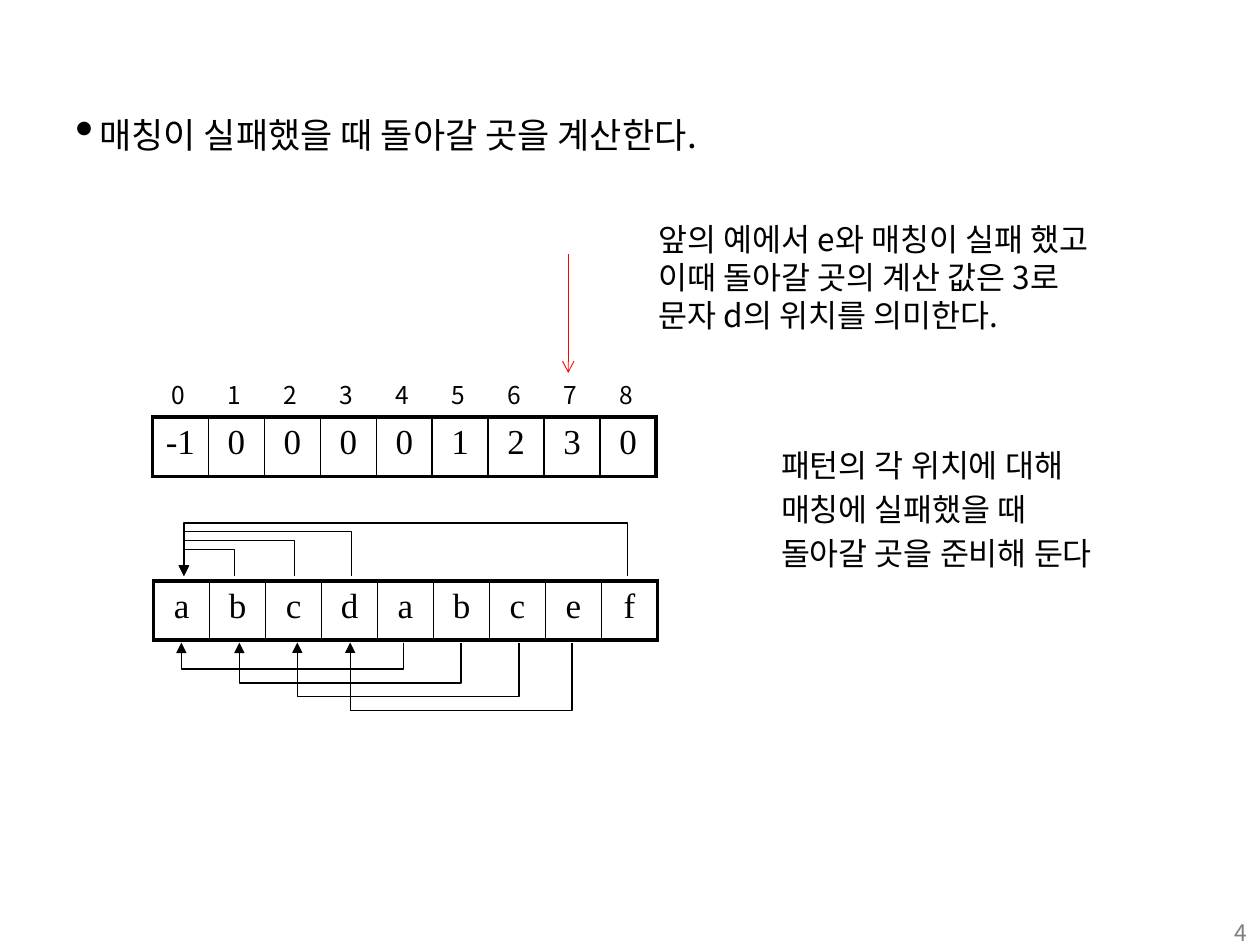
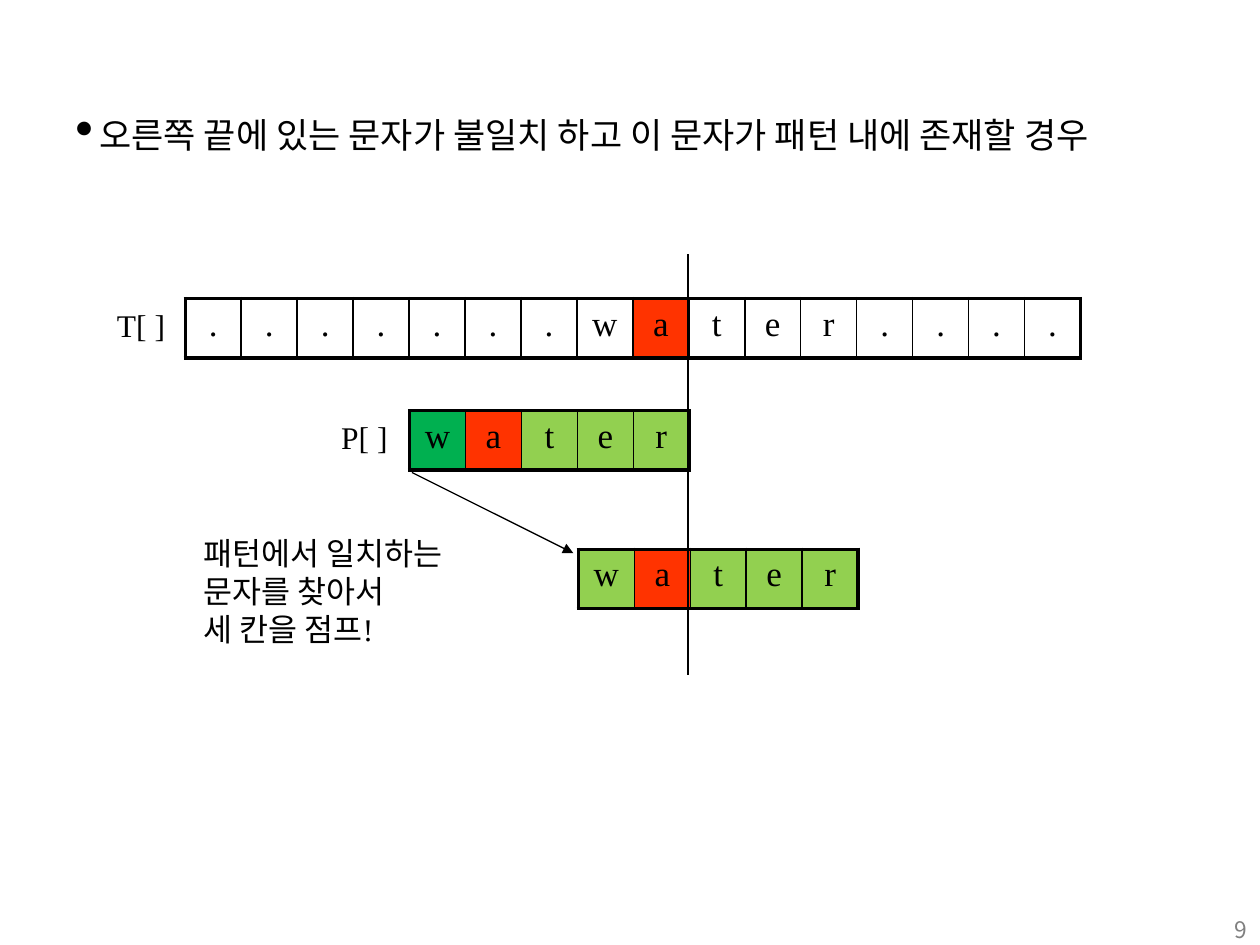
from lxml import etree
from pptx import Presentation
from pptx import util as u
from pptx.dml.color import RGBColor
from pptx.enum import shapes, text
from pptx.oxml.ns import qn

BLACK, GREY, RED = "000000", "808080", "FF0000"
MISMATCH, MATCH, START = "FF3300", "92D050", "00B050"
SANS, SERIF, BOOK = "Noto Sans CJK KR", "Times New Roman", "Cambria"
THIN, THICK = 1, 2.25


def rgb(color):
    return RGBColor.from_string(color)


def write(frame, content, size=18, font=SANS, color=BLACK,
          align=text.PP_ALIGN.LEFT, space=0, hanging=0):
    """Fill a text frame, one paragraph per line of content."""
    for number, line in enumerate(content.split("\n")):
        paragraph = frame.add_paragraph() if number else frame.paragraphs[0]
        paragraph.alignment = align
        paragraph.space_before = u.Pt(space)
        if hanging:
            properties = paragraph._p.get_or_add_pPr()
            properties.set("marL", str(u.Inches(hanging)))
            properties.set("indent", str(-u.Inches(hanging)))
        run = paragraph.add_run()
        run.text = line
        run.font.size = u.Pt(size)
        run.font.name = font
        run.font.color.rgb = rgb(color)
        east_asian = etree.SubElement(run._r.get_or_add_rPr(), qn("a:ea"))
        east_asian.set("typeface", SANS)


class Deck:
    """The presentation, its shared style and the slide being drawn."""

    def __init__(self):
        self.presentation = Presentation()
        self.presentation.slide_width = u.Inches(10)
        self.presentation.slide_height = u.Inches(7.5)
        self.slide = None

    def new_slide(self, heading, number, number_top):
        layout = self.presentation.slide_layouts[6]
        self.slide = self.presentation.slides.add_slide(layout)
        self.heading(heading)
        page = self.label(number, 7.67, number_top, 2.33, 0.4, wrap=True,
                          grow=False, size=13, color=GREY,
                          align=text.PP_ALIGN.RIGHT)
        page.vertical_anchor = text.MSO_ANCHOR.MIDDLE

    def heading(self, content):
        frame = self.label(content, 0.5, 0.7, 9, 6.09, wrap=True, grow=False,
                           size=20, space=7.5, hanging=0.19)
        paragraph = frame.paragraphs[0]
        paragraph.line_spacing = u.Pt(35)
        properties = paragraph._p.get_or_add_pPr()
        etree.SubElement(properties, qn("a:buSzPct")).set("val", "150000")
        etree.SubElement(properties, qn("a:buChar")).set("char", "•")

    def label(self, content, left, top, width, height, wrap=False, grow=True,
              **style):
        box = self.slide.shapes.add_textbox(
            u.Inches(left), u.Inches(top), u.Inches(width), u.Inches(height))
        frame = box.text_frame
        frame.word_wrap = wrap
        frame.auto_size = (text.MSO_AUTO_SIZE.SHAPE_TO_FIT_TEXT if grow
                           else text.MSO_AUTO_SIZE.NONE)
        write(frame, content, **style)
        return frame

    def array(self, values, left, top, fills=()):
        """Draw a one-row table; fills maps a cell's position to its colour."""
        fills = dict(fills)
        last = len(values) - 1
        cell_width = u.Inches(4) // 9
        table = self.slide.shapes.add_table(
            1, len(values), u.Inches(left), u.Inches(top),
            cell_width * len(values), u.Inches(0.47)).table
        table.first_row = table.horz_banding = False
        for index, value in enumerate(values):
            table.columns[index].width = cell_width
            cell = table.cell(0, index)
            write(cell.text_frame, value, size=20, font=SERIF, space=4,
                  align=text.PP_ALIGN.CENTER)
            if index in fills:
                cell.fill.solid()
                cell.fill.fore_color.rgb = rgb(fills[index])
            else:
                cell.fill.background()
            self.borders(cell, THIN if index else THICK,
                         THICK if index == last else THIN)

    def borders(self, cell, left, right):
        properties = cell._tc.get_or_add_tcPr()
        sides = (("L", left), ("R", right), ("T", THICK), ("B", THICK))
        for place, (side, width) in enumerate(sides):
            border = etree.Element(qn(f"a:ln{side}"), w=str(u.Pt(width)))
            fill = etree.SubElement(border, qn("a:solidFill"))
            etree.SubElement(fill, qn("a:srgbClr")).set("val", BLACK)
            properties.insert(place, border)

    def stroke(self, shape, color, width, head):
        shape.line.color.rgb = rgb(color)
        shape.line.width = u.Pt(width)
        if head:
            line = shape.line._get_or_add_ln()
            etree.SubElement(line, qn("a:tailEnd")).set("type", head)

    def line(self, start, end, color=BLACK, width=0.75, head=None):
        connector = self.slide.shapes.add_connector(
            shapes.MSO_CONNECTOR.STRAIGHT,
            *(u.Inches(value) for value in (*start, *end)))
        self.stroke(connector, color, width, head)
        etree.SubElement(connector._element.spPr, qn("a:effectLst"))

    def jump(self, start, target, base, turn):
        """Draw a squared arrow that leaves base, runs along turn and returns."""
        corners = [(u.Inches(x), u.Inches(y)) for x, y in
                   ((start, base), (start, turn), (target, turn), (target, base))]
        builder = self.slide.shapes.build_freeform(*corners[0])
        builder.add_line_segments(corners[1:], close=False)
        arrow = builder.convert_to_shape()
        arrow.fill.background()
        arrow.shadow.inherit = False
        self.stroke(arrow, BLACK, 0.75, "triangle")


def failure_table(deck):
    deck.new_slide("매칭이 실패했을 때 돌아갈 곳을 계산한다.", "4", 7.2)
    deck.array(["-1", *"00001230"], 1.21, 3.31)
    for index in range(9):
        deck.label(str(index), 1.26 + index * 4 / 9, 2.97, 0.31, 0.33, size=14)
    deck.array("abcdabcef", 1.22, 4.61)
    for level, target in enumerate((1.44, 1.9, 2.36, 2.78)):
        deck.jump(target + 1.76, target, 5.1, 5.31 + 0.11 * level)
    for level, start in enumerate((1.86, 2.34, 2.79, 4.98)):
        deck.jump(start, 1.46, 4.57, 4.36 - 0.07 * level)
    deck.label("패턴의 각 위치에 대해\n매칭에 실패했을 때\n돌아갈 곳을 준비해 둔다",
               6.1, 3.49, 2.92, 1.13, font=BOOK, space=3.6, hanging=0.38)
    deck.line((4.51, 2.02), (4.51, 2.96), color=RED, width=0.5, head="arrow")
    deck.label("앞의 예에서 e와 매칭이 실패 했고 이때 돌아갈 곳의 계산 값은 3로 "
               "문자 d의 위치를 의미한다.", 5.13, 1.7, 3.85, 1.01, wrap=True)


def pattern_shift(deck):
    deck.new_slide("오른쪽 끝에 있는 문자가 불일치 하고 이 문자가 패턴 내에 존재할 경우",
                   "9", 7.18)
    deck.array(".......water....", 1.47, 2.37, {8: MISMATCH})
    pattern_colors = (MATCH, MISMATCH, MATCH, MATCH, MATCH)
    deck.array("water", 3.25, 3.26, enumerate((START, *pattern_colors[1:])))
    deck.array("water", 4.59, 4.36, enumerate(pattern_colors))
    deck.line((3.27, 3.75), (4.55, 4.39), head="triangle")
    deck.label("패턴에서 일치하는\n문자를 찾아서\n세 칸을 점프!",
               1.52, 4.19, 2.43, 1.01, font=SERIF)
    deck.line((5.46, 2.02), (5.46, 5.36))
    deck.label("T[ ]", 0.83, 2.38, 0.59, 0.4, font=SERIF)
    deck.label("P[ ]", 2.61, 3.27, 0.66, 0.4, wrap=True, font=SERIF)


def main():
    deck = Deck()
    failure_table(deck)
    pattern_shift(deck)
    deck.presentation.save("out.pptx")


if __name__ == "__main__":
    main()
